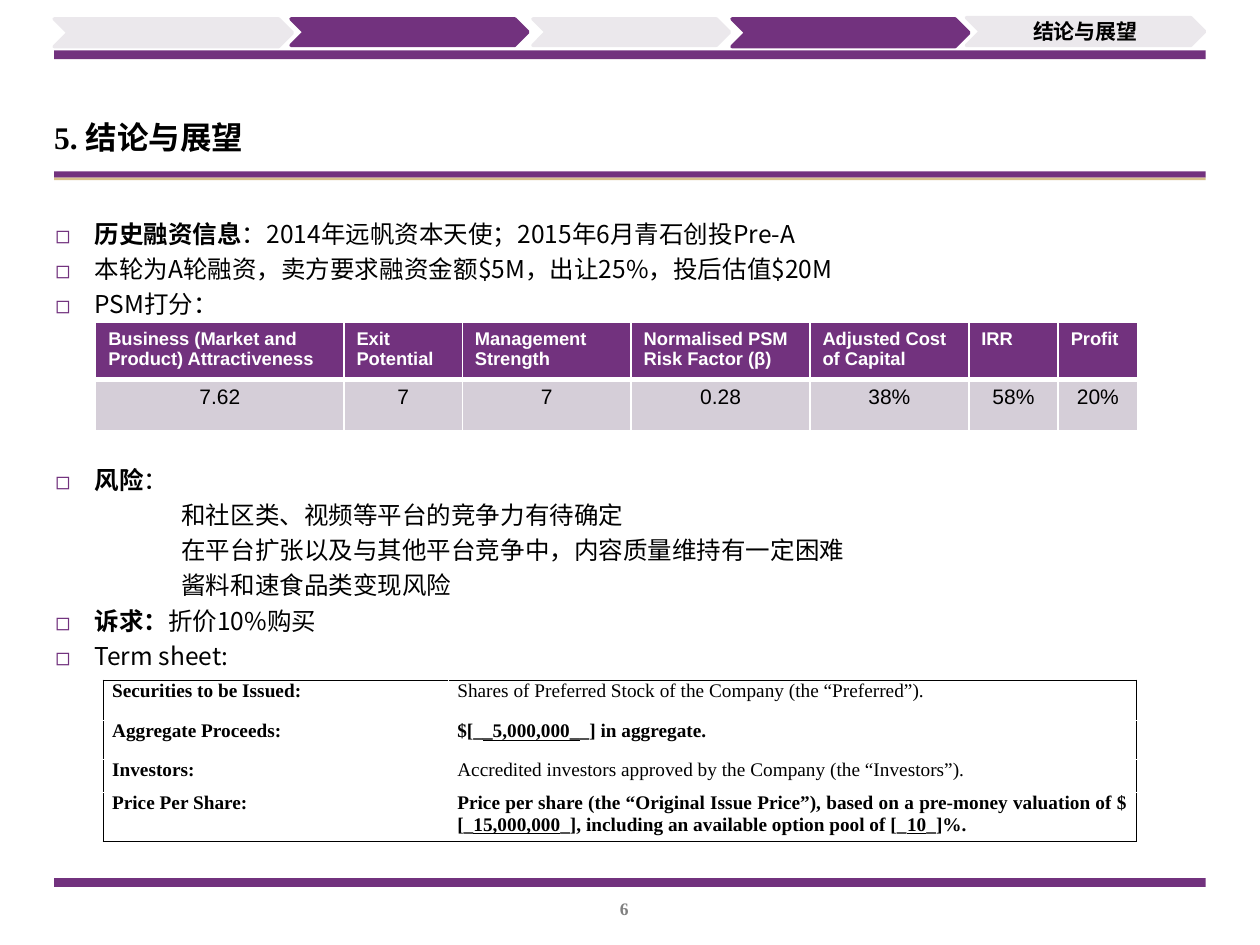
from pptx import Presentation
from pptx.dml.color import RGBColor
from pptx.enum.shapes import MSO_SHAPE
from pptx.enum.text import MSO_ANCHOR, MSO_AUTO_SIZE, PP_ALIGN
from pptx.oxml.ns import qn
from pptx.util import Inches, Pt
from lxml.etree import SubElement

HUE = {"plum": "72327E", "gold": "D7BF8B", "pale": "EBE8EC", "mauve": "D5CED8",
       "gray": "808080", "black": "000000", "white": "FFFFFF"}
SERIF, SANS, HAN = "Times New Roman", "Arial", "Noto Sans CJK SC"

deck = Presentation()
deck.slide_width, deck.slide_height = Inches(10), Inches(7.5)
unit = deck.slide_width / 100
slide = deck.slides.add_slide(deck.slide_layouts[1])
shapes = slide.shapes


def place(*cells):
    return [round(n * unit) for n in cells]


def write(para, text, size=14, face=HAN, color="black", bold=False, under=False, align=None):
    para.alignment = align
    run = para.add_run()
    run.text = text
    font = run.font
    font.size, font.name, font.bold, font.underline = Pt(size), face, bold, under
    font.color.rgb = RGBColor.from_string(HUE[color])
    SubElement(run._r.get_or_add_rPr(), qn("a:ea"), typeface=HAN)


left, wide = 4.3, 91.4
blocks = [
    (MSO_SHAPE.RECTANGLE, left, 69.7, wide, 0.7, "plum"),
    (MSO_SHAPE.RECTANGLE, left, 4, wide, 0.7, "plum"),
    (MSO_SHAPE.RECTANGLE, left, 13.6, wide, 0.5, "plum"),
    (MSO_SHAPE.RECTANGLE, left, 14.1, wide, 0.2, "gold"),
    (MSO_SHAPE.CHEVRON, 4.3, 1.5, 18.9, 2.2, "pale"),
    (MSO_SHAPE.CHEVRON, 23.1, 1.5, 18.8, 2.1, "plum"),
    (MSO_SHAPE.CHEVRON, 42.3, 1.5, 15.6, 2.1, "pale"),
    (MSO_SHAPE.CHEVRON, 58.1, 1.5, 18.8, 2.2, "plum"),
    (MSO_SHAPE.CHEVRON, 76.7, 1.4, 18.9, 2.2, "pale"),
]
for kind, x, y, w, h, hue in blocks:
    step = shapes.add_shape(kind, *place(x, y, w, h))
    step.shadow.inherit = False
    step.fill.solid()
    step.fill.fore_color.rgb = RGBColor.from_string(HUE[hue])
    if kind == MSO_SHAPE.RECTANGLE:
        step.line.fill.background()
    else:
        step.line.color.rgb = RGBColor.from_string(HUE[hue])
        step.line.width = Pt(2)
frame = step.text_frame
frame.margin_top = frame.margin_bottom = 0
frame.vertical_anchor = MSO_ANCHOR.MIDDLE
write(frame.paragraphs[0], "结论与展望", size=12, face=SERIF, bold=True, align=PP_ALIGN.CENTER)

title = shapes.title
title.left, title.top, title.width, title.height = place(left, 9.2, wide, 3.3)
frame = title.text_frame
frame.auto_size = MSO_AUTO_SIZE.NONE
frame.margin_left = frame.margin_right = 0
frame.margin_top = frame.margin_bottom = Inches(0.02)
frame.vertical_anchor = MSO_ANCHOR.MIDDLE
write(frame.paragraphs[0], "5. 结论与展望", size=18, face=SERIF, bold=True, align=PP_ALIGN.LEFT)

page = shapes.add_textbox(*place(47.5, 71.1, 4.1, 2.7))
frame = page.text_frame
frame.word_wrap = True
frame.margin_left = frame.margin_right = 0
frame.margin_top = Inches(0.02)
write(frame.paragraphs[0], "6", size=10, face=SERIF, color="gray", bold=True, align=PP_ALIGN.CENTER)

body = slide.placeholders[1]
body.left, body.top, body.width, body.height = place(3.4, 16.2, 92.1, 40.2)
frame = body.text_frame
frame.auto_size = MSO_AUTO_SIZE.NONE
frame.margin_top = Inches(0.07)
frame.vertical_anchor = MSO_ANCHOR.TOP
pitch = 20.1
points = [
    (True, "历史融资信息", "：2014年远帆资本天使；2015年6月青石创投Pre-A"),
    (True, "", "本轮为A轮融资，卖方要求融资金额$5M，出让25%，投后估值$20M"),
    (True, "", "PSM打分："),
    (True, "风险", "："),
    (False, "", "和社区类、视频等平台的竞争力有待确定"),
    (False, "", "在平台扩张以及与其他平台竞争中，内容质量维持有一定困难"),
    (False, "", "酱料和速食品类变现风险"),
    (True, "诉求：", "折价10%购买"),
    (True, "", "Term sheet:"),
]
for n, (mark, head, rest) in enumerate(points):
    para = frame.paragraphs[0] if n == 0 else frame.add_paragraph()
    para.line_spacing = Pt(pitch)
    para.space_before = Pt(4 * pitch if head == "风险" else 0)
    para.space_after = Pt(0)
    props = para._p.get_or_add_pPr()
    props.set("marL", str(Inches(0.31 if mark else 1)))
    props.set("indent", str(Inches(-0.31 if mark else 0)))
    if mark:
        SubElement(SubElement(props, qn("a:buClr")), qn("a:srgbClr"), val=HUE["plum"])
        SubElement(props, qn("a:buFont"), typeface=HAN)
        SubElement(props, qn("a:buChar"), char="◻")
    else:
        SubElement(props, qn("a:buNone"))
    if head:
        write(para, head, bold=True)
    write(para, rest)

scores = [
    ["Business (Market and Product) Attractiveness", "Exit Potential", "Management Strength",
     "Normalised PSM Risk Factor (β)", "Adjusted Cost of Capital", "IRR", "Profit"],
    ["7.62", "7", "7", "0.28", "38%", "58%", "20%"],
]
terms = [
    ["Securities to be Issued:", "Shares of Preferred Stock of the Company (the “Preferred”)."],
    ["Aggregate Proceeds:", "$[_|_5,000,000_|_] in aggregate."],
    ["Investors:", "Accredited investors approved by the Company (the “Investors”)."],
    ["Price Per Share:", "Price per share (the “Original Issue Price”), based on a pre-money "
     "valuation of $[_|15,000,000|_], including an available option pool of [_|10|_]%."],
]
tables = [
    (scores, 7.6, 25.6, [19.7, 9.4, 13.4, 14.2, 12.6, 7.1, 6.3], [4.5, 4.1]),
    (terms, 8.2, 54, [27.4, 54.6], [3.2, 3.1, 2.6, 3.9]),
]
for data, x, y, cols, rows in tables:
    deal = data is terms
    grid = shapes.add_table(len(rows), len(cols), *place(x, y, sum(cols), sum(rows))).table
    grid.first_row = not deal
    grid.horz_banding = False
    for col, w in zip(grid.columns, place(*cols)):
        col.width = w
    for row, h in zip(grid.rows, place(*rows)):
        row.height = h
    for r, line in enumerate(data):
        for c, text in enumerate(line):
            cell = grid.cell(r, c)
            edges = {"L": c == 0, "R": c == len(cols) - 1, "T": r == 0, "B": r == len(rows) - 1}
            for side, outer in edges.items():
                thick = not deal and (side, r) in (("B", 0), ("T", 1))
                rule = SubElement(cell._tc.get_or_add_tcPr(), qn("a:ln" + side),
                                  w=str(Pt(3 if thick else 1)))
                ink = HUE["black" if deal and outer else "white"]
                SubElement(SubElement(rule, qn("a:solidFill")), qn("a:srgbClr"), val=ink)
            para = cell.text_frame.paragraphs[0]
            if deal:
                cell.fill.background()
                cell.margin_left = cell.margin_right = Inches(0.07)
                cell.margin_top = cell.margin_bottom = 0
                para.space_after = Pt(8)
                look = dict(size=11, face=SERIF, bold=c == 0 or "|" in text,
                            align=PP_ALIGN.JUSTIFY if c else PP_ALIGN.LEFT)
            else:
                cell.fill.solid()
                cell.fill.fore_color.rgb = RGBColor.from_string(HUE["mauve" if r else "plum"])
                look = dict(size=12 if r else 10.5, face=SANS, bold=r == 0,
                            color="black" if r else "white",
                            align=PP_ALIGN.CENTER if r else PP_ALIGN.LEFT)
            for n, part in enumerate(text.split("|")):
                write(para, part, under=n % 2 == 1, **look)

deck.save("out.pptx")
